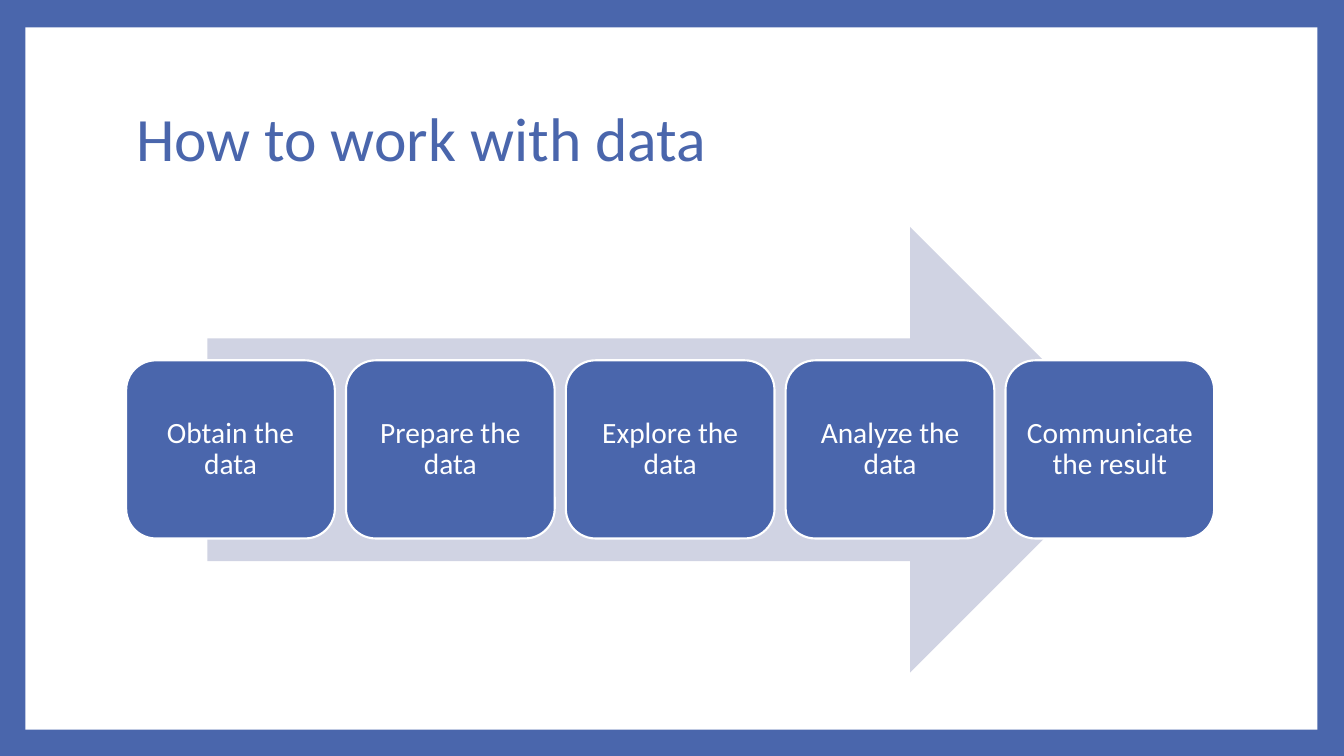
from dataclasses import dataclass

from pptx import Presentation
from pptx.dml.color import RGBColor
from pptx.enum.shapes import MSO_SHAPE as Preset
from pptx.enum.text import MSO_ANCHOR as Anchor, PP_ALIGN as Align
from pptx.util import Cm, Pt


@dataclass(frozen=True)
class Theme:
    blue: RGBColor = RGBColor(0x4A, 0x66, 0xAC)
    pale: RGBColor = RGBColor(0xD0, 0xD3, 0xE3)
    white: RGBColor = RGBColor(0xFF, 0xFF, 0xFF)
    font: str = "Calibri"
    title_size: Pt = Pt(44)
    step_size: Pt = Pt(21)
    outline: Pt = Pt(1.5)


theme = Theme()


def add_panel(preset, left, top, width, height, color):
    panel = slide.shapes.add_shape(preset, Cm(left), Cm(top), Cm(width), Cm(height))
    panel.shadow.inherit = False
    panel.fill.solid()
    panel.fill.fore_color.rgb = color
    panel.line.fill.background()
    return panel


def write(holder, wording, size, color, align, **frame_format):
    frame = holder.text_frame
    frame_format.update(word_wrap=True, vertical_anchor=Anchor.MIDDLE)
    for key, value in frame_format.items():
        setattr(frame, key, value)
    paragraph = frame.paragraphs[0]
    for key, value in {"text": wording, "alignment": align, "line_spacing": 0.9}.items():
        setattr(paragraph, key, value)
    font = paragraph.runs[0].font
    for key, value in {"name": theme.font, "size": size}.items():
        setattr(font, key, value)
    font.color.rgb = color


deck = Presentation()
deck.slide_width, deck.slide_height = Cm(33.87), Cm(19.05)
slide = deck.slides.add_slide(deck.slide_layouts[6])
slide.background.fill.solid()
slide.background.fill.fore_color.rgb = theme.blue

add_panel(Preset.RECTANGLE, 0.64, 0.69, 32.56, 17.7, theme.white)

title = slide.shapes.add_textbox(Cm(3.18), Cm(1.7), Cm(27.43), Cm(3.76))
write(title, "How to work with data", theme.title_size, theme.blue, Align.LEFT)

add_panel(Preset.RIGHT_ARROW, 5.23, 5.72, 23.32, 11.23, theme.pale)

steps = [
    "Obtain the data",
    "Prepare the data",
    "Explore the data",
    "Analyze the data",
    "Communicate the result",
]
first_left, step_pitch = 3.18, 5.54
inset = Cm(0.23)
insets = {f"margin_{side}": inset for side in ("left", "top", "right", "bottom")}
for index, wording in enumerate(steps):
    step = add_panel(
        Preset.ROUNDED_RECTANGLE, first_left + index * step_pitch, 9.08, 5.26, 4.49, theme.blue
    )
    step.line.color.rgb = theme.white
    step.line.width = theme.outline
    write(step, wording, theme.step_size, theme.white, Align.CENTER, **insets)

deck.save("out.pptx")
